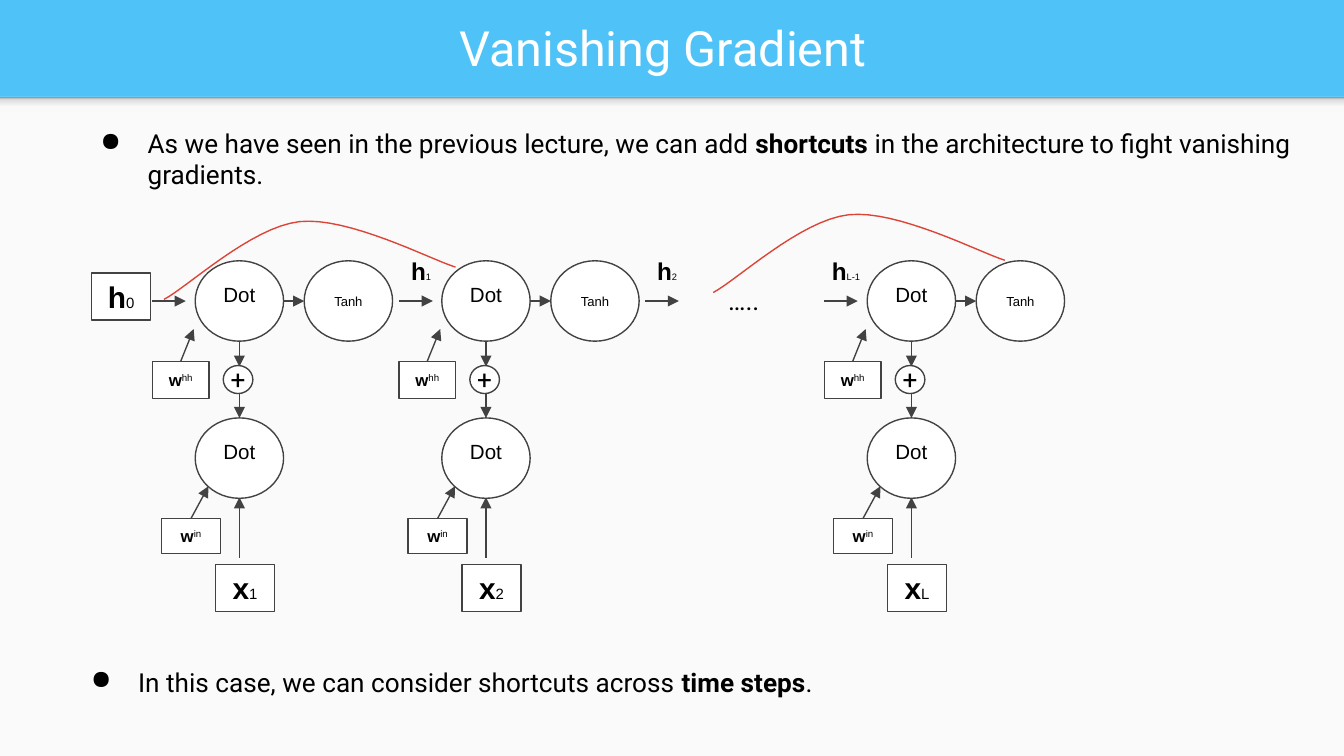
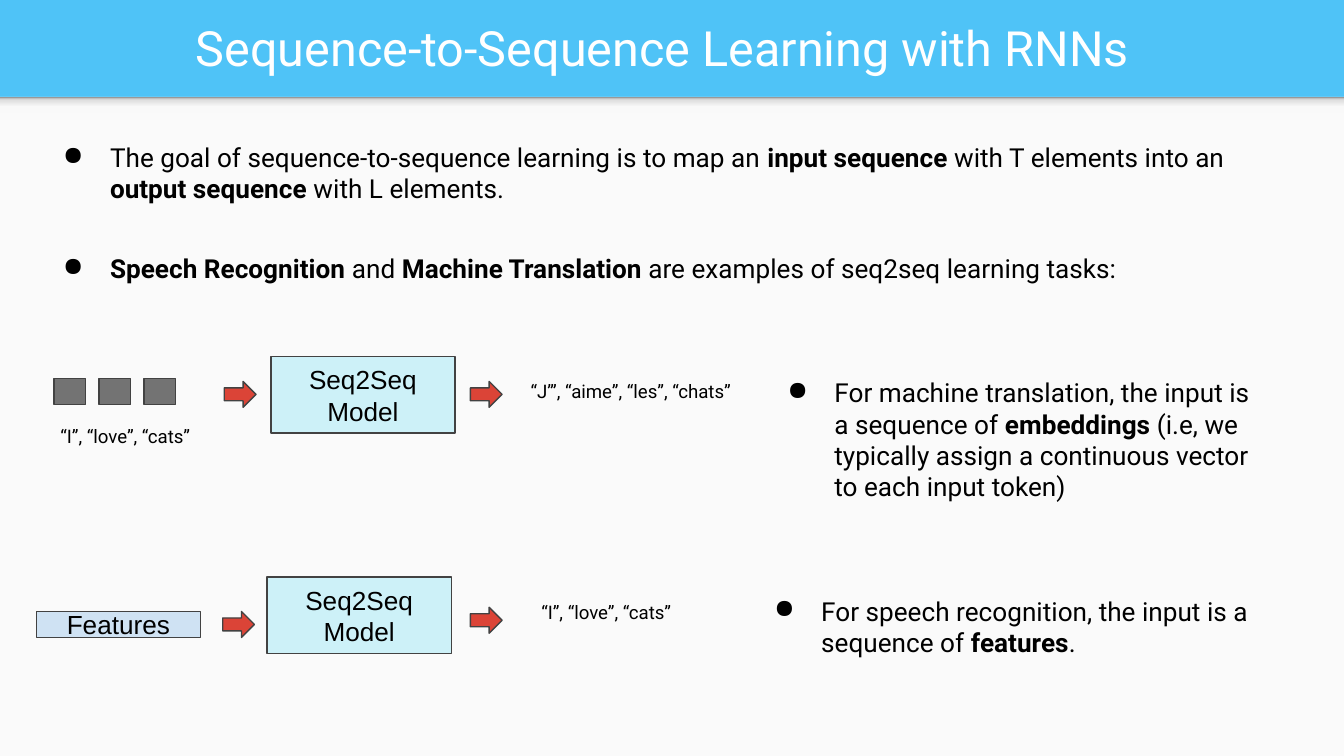
"""Build two lecture slides on vanishing gradients and sequence-to-sequence learning."""
from dataclasses import dataclass

from lxml.etree import SubElement
from pptx import Presentation
from pptx.dml.color import RGBColor
from pptx.enum.shapes import MSO_CONNECTOR as Link, MSO_SHAPE as Kind
from pptx.enum.text import MSO_ANCHOR as Anchor, PP_ALIGN as Align
from pptx.oxml import parse_xml
from pptx.oxml.ns import nsdecls, qn
from pptx.util import Cm, Pt


@dataclass(frozen=True)
class Theme:
    band: str = "4FC3F7"
    panel: str = "FAFAFA"
    title: str = "FFFFFF"
    text: str = "000000"
    outline: str = "424242"
    node: str = "FFFFFF"
    accent: str = "DB4437"
    model: str = "29D2F5"
    features: str = "CFE2F3"
    token: str = "737373"
    shade: tuple = ((0, "F9F9F9"), (36, "F9F9F9"), (80, "DEDEDE"), (100, "999999"))
    body_font: str = "Roboto"
    node_font: str = "Arial"
    title_size: float = 26
    body_size: float = 14
    quote_size: float = 10
    dot_size: float = 11
    tanh_size: float = 7
    state_size: float = 16
    state_mark: float = 8
    flow_size: float = 13
    flow_mark: float = 5
    weight_size: float = 9
    stroke: float = 0.75
    inset: float = 0.25


THEME = Theme()
WIDTH, HEIGHT, BAND = 25.4, 14.29, 1.83

GRADIENT_TITLE = "Vanishing Gradient"
GRADIENT_POINTS = [
    ("As we have seen in the previous lecture, we can add **shortcuts** in the "
     "architecture to fight vanishing gradients.", (1.27, 2.16, 23.88, 1.7)),
    ("In this case, we can consider shortcuts across **time steps**.",
     (1.09, 12.34, 15.32, 1.12)),
]
STEPS = [(3.69, "1"), (8.35, "2"), (16.39, "L")]
FLOWS = [(7.54, "1"), (12.19, "2"), (15.57, "L-1")]
FLOW_Y, FLOW_LENGTH = 5.69, 0.64
DOT_WIDTH, DOT_HEIGHT, DOT_TOP, INPUT_DOT_TOP = 1.67, 1.52, 4.93, 7.9
TANH_SHIFT = 2.06
SHORTCUT_START = (3.1, 5.66)
SHORTCUT_CURVES = [
    ((3.53, 5.44), (4.75, 4.29), (5.66, 4.19)),
    ((6.58, 4.09), (8.13, 4.9), (8.61, 5.05)),
]
SHORTCUT_SHIFTS = [(0, 0), (10.38, -0.13)]

SEQUENCE_TITLE = "Sequence-to-Sequence Learning with RNNs"
SEQUENCE_POINTS = [
    ("The goal of sequence-to-sequence learning is to map an **input sequence** with T "
     "elements into an **output sequence** with L elements.", (0.56, 2.42, 23.93, 1.7)),
    ("**Speech Recognition** and **Machine Translation** are examples of seq2seq "
     "learning tasks:", (0.56, 4.53, 23.93, 1.12)),
    ("For machine translation, the input is a sequence of **embeddings** (i.e, we "
     "typically assign a continuous vector to each input token)", (14.25, 6.87, 10, 2.9)),
    ("For speech recognition, the input is a sequence of **features**.",
     (14, 11, 10.95, 1.7)),
]
MODELS = [(5.12, 6.74), (5.05, 10.91)]
BLOCK_ARROWS = [(4.24, 7.21), (8.89, 7.21), (4.21, 11.56), (8.89, 11.48)]
QUOTES = [
    ("“I”, “love”, “cats”", (0.89, 7.81, 3.33, 0.94)),
    ("“J’”, “aime”, “les”, “chats”", (9.78, 6.96, 6.05, 0.94)),
    ("“I”, “love”, “cats”", (9.98, 11.14, 3.33, 0.94)),
]
TOKEN_COUNT, TOKEN_LEFT, TOKEN_TOP, TOKEN_PITCH = 3, 1.02, 7.16, 0.85
MARK_SIZE = (0.6, 0.49)


def rgb(value):
    return RGBColor.from_string(value)


def draw(page, kind, place, fill, outline=THEME.outline):
    shape = page.shapes.add_shape(kind, *map(Cm, place))
    shape.shadow.inherit = False
    shape.fill.solid()
    shape.fill.fore_color.rgb = rgb(fill)
    if outline:
        shape.line.color.rgb = rgb(outline)
        shape.line.width = Pt(THEME.stroke)
    else:
        shape.line.fill.background()
    return shape


def set_frame(shape, anchor, top=THEME.inset, bottom=THEME.inset, side=THEME.inset):
    frame = shape.text_frame
    frame.word_wrap = True
    frame.vertical_anchor = anchor
    frame.margin_left = frame.margin_right = Cm(side)
    frame.margin_top, frame.margin_bottom = Cm(top), Cm(bottom)
    return frame


def set_font(para, font, size, color=THEME.text):
    para.font.name = font
    para.font.color.rgb = rgb(color)
    para.font.size = Pt(size)


def write(frame, lines, font, size, align=Align.CENTER, color=THEME.text, bullet=False):
    for number, line in enumerate(lines):
        para = frame.add_paragraph() if number else frame.paragraphs[0]
        para.alignment = align
        if bullet:
            add_bullet(para)
        set_font(para, font, size, color)
        for index, part in enumerate(line.split("**")):
            if part:
                span = para.add_run()
                span.text = part
                if index % 2:
                    span.font.bold = True


def add_bullet(para):
    props = para._p.get_or_add_pPr()
    props.set("marL", str(Cm(1.27)))
    props.set("indent", str(Cm(-0.89)))
    color = SubElement(props, qn("a:buClr"))
    SubElement(color, qn("a:srgbClr"), val=THEME.text)
    SubElement(props, qn("a:buChar"), char="●")


def write_marked(frame, symbol, mark, size, mark_size=None):
    para = frame.paragraphs[0]
    para.alignment = Align.CENTER
    set_font(para, THEME.node_font, size)
    base, small = para.add_run(), para.add_run()
    base.text, small.text = symbol, mark
    base.font.bold = True
    if mark_size:
        small.font.size = Pt(mark_size)
    else:
        small.font._element.set("baseline", "30000")


def add_text(page, place, text, size, align=Align.LEFT, anchor=Anchor.TOP,
             color=THEME.text, bullet=False):
    box = page.shapes.add_textbox(*map(Cm, place))
    write(set_frame(box, anchor), [text], THEME.body_font, size, align, color, bullet)


def add_arrow(page, start, end, source=None):
    arrow = page.shapes.add_connector(Link.STRAIGHT, *map(Cm, start + end))
    if source is not None:
        arrow.begin_connect(source, 0)
    arrow.line.color.rgb = rgb(THEME.outline)
    arrow.line.width = Pt(THEME.stroke)
    SubElement(arrow.line._get_or_add_ln(), qn("a:tailEnd"), type="triangle")
    SubElement(arrow._element.spPr, qn("a:effectLst"))


def add_page(deck, title, points):
    page = deck.slides.add_slide(deck.slide_layouts[6])
    draw(page, Kind.RECTANGLE, (0, BAND, WIDTH, HEIGHT - BAND), THEME.panel, None)
    shade = draw(page, Kind.RECTANGLE, (0, BAND, WIDTH, 0.3), THEME.panel, None)
    stops = "".join(f'<a:gs pos="{spot * 1000}"><a:srgbClr val="{color}"/></a:gs>'
                    for spot, color in THEME.shade)
    gradient = parse_xml(f'<a:gradFill {nsdecls("a")}><a:gsLst>{stops}</a:gsLst>'
                         '<a:lin ang="16200000" scaled="0"/></a:gradFill>')
    props = shade._element.spPr
    props.replace(props.find(qn("a:solidFill")), gradient)
    add_text(page, (0.28, 0.05, 24.51, 1.68), title, THEME.title_size,
             Align.CENTER, Anchor.MIDDLE, THEME.title)
    for text, place in points:
        add_text(page, place, text, THEME.body_size, bullet=True)
    return page


def add_box(page, place, symbol, mark, size, mark_size=None):
    box = draw(page, Kind.RECTANGLE, place, THEME.node)
    write_marked(set_frame(box, Anchor.MIDDLE), symbol, mark, size, mark_size)
    return box


def add_node(page, left, top, text, size, lift=0):
    node = draw(page, Kind.OVAL, (left, top, DOT_WIDTH, DOT_HEIGHT), THEME.node)
    frame = set_frame(node, Anchor.MIDDLE, top=THEME.inset - lift)
    write(frame, [text], THEME.node_font, size)


def add_step(page, left, mark):
    middle = left + DOT_WIDTH / 2
    add_arrow(page, (middle, 10.54), (middle, 9.4))
    add_arrow(page, (middle, 6.22), (middle, 6.93))
    for top in (DOT_TOP, INPUT_DOT_TOP):
        add_node(page, left, top, "Dot", THEME.dot_size, lift=THEME.inset)
    add_node(page, left + TANH_SHIFT, DOT_TOP, "Tanh", THEME.tanh_size)
    add_arrow(page, (left + DOT_WIDTH, FLOW_Y), (left + TANH_SHIFT, FLOW_Y))
    add_box(page, (left + 0.38, 10.67, 1.12, 0.89), "x", mark,
            THEME.state_size, THEME.state_mark)
    input_weight = add_box(page, (left - 0.64, 9.8, 1.12, 0.66), "w", "in", THEME.weight_size)
    add_arrow(page, (left - 0.1, 9.8), (left + 0.25, 9.19), input_weight)
    state_weight = add_box(page, (left - 0.81, 6.83, 1.07, 0.71), "w", "hh", THEME.weight_size)
    add_arrow(page, (left - 0.28, 6.83), (left - 0.03, 6.22), state_weight)
    plus = draw(page, Kind.OVAL, (left + 0.53, 6.91, 0.56, 0.53), THEME.node)
    write(set_frame(plus, Anchor.MIDDLE, 0, 0, 0), ["+"], THEME.body_font, THEME.body_size)
    add_arrow(page, (middle, 7.44), (middle, INPUT_DOT_TOP))


def curve_points(start, curves, samples=16):
    points = [start]
    for first, second, end in curves:
        begin = points[-1]
        for number in range(1, samples + 1):
            t = number / samples
            u = 1 - t
            points.append(tuple(
                u ** 3 * a + 3 * u * u * t * b + 3 * u * t * t * c + t ** 3 * d
                for a, b, c, d in zip(begin, first, second, end)))
    return points


def add_shortcut(page, shift):
    points = [(Cm(x + shift[0]), Cm(y + shift[1]))
              for x, y in curve_points(SHORTCUT_START, SHORTCUT_CURVES)]
    outline = page.shapes.build_freeform(*points[0])
    outline.add_line_segments(points[1:], close=False)
    shortcut = outline.convert_to_shape()
    shortcut.shadow.inherit = False
    shortcut.fill.background()
    shortcut.line.color.rgb = rgb(THEME.accent)
    shortcut.line.width = Pt(THEME.stroke)


def build_gradient_page(deck):
    page = add_page(deck, GRADIENT_TITLE, GRADIENT_POINTS)
    add_box(page, (1.73, 5.16, 1.12, 0.89), "h", "0", THEME.state_size, THEME.state_mark)
    add_arrow(page, (2.87, FLOW_Y), (2.87 + FLOW_LENGTH, FLOW_Y))
    for left, mark in STEPS:
        add_step(page, left, mark)
    for left, mark in FLOWS:
        add_arrow(page, (left, FLOW_Y), (left + FLOW_LENGTH, FLOW_Y))
        label = page.shapes.add_textbox(*map(Cm, (left - 0.14, 4.6, 1.12, 1.07)))
        write_marked(set_frame(label, Anchor.TOP), "h", mark, THEME.flow_size, THEME.flow_mark)
    add_text(page, (13.51, 5.13, 1.91, 1.12), "…..", THEME.body_size)
    for shift in SHORTCUT_SHIFTS:
        add_shortcut(page, shift)


def build_sequence_page(deck):
    page = add_page(deck, SEQUENCE_TITLE, SEQUENCE_POINTS)
    for place in MODELS:
        model = draw(page, Kind.RECTANGLE, place + (3.48, 1.45), THEME.model)
        color = model._element.spPr.find(qn("a:solidFill")).find(qn("a:srgbClr"))
        SubElement(color, qn("a:alpha"), val="21000")
        write(set_frame(model, Anchor.MIDDLE), ["Seq2Seq", "Model"],
              THEME.node_font, THEME.body_size)
    for place in BLOCK_ARROWS:
        draw(page, Kind.RIGHT_ARROW, place + MARK_SIZE, THEME.accent)
    for number in range(TOKEN_COUNT):
        place = (TOKEN_LEFT + number * TOKEN_PITCH, TOKEN_TOP)
        draw(page, Kind.RECTANGLE, place + MARK_SIZE, THEME.token)
    features = draw(page, Kind.RECTANGLE, (0.69, 11.56, 3.1, 0.49), THEME.features)
    write(set_frame(features, Anchor.MIDDLE, 0, 0), ["Features"],
          THEME.node_font, THEME.body_size)
    for text, place in QUOTES:
        add_text(page, place, text, THEME.quote_size)


def main():
    deck = Presentation()
    deck.slide_width, deck.slide_height = Cm(WIDTH), Cm(HEIGHT)
    backdrop = deck.slide_master.background.fill
    backdrop.solid()
    backdrop.fore_color.rgb = rgb(THEME.band)
    build_gradient_page(deck)
    build_sequence_page(deck)
    deck.save("out.pptx")


if __name__ == "__main__":
    main()
